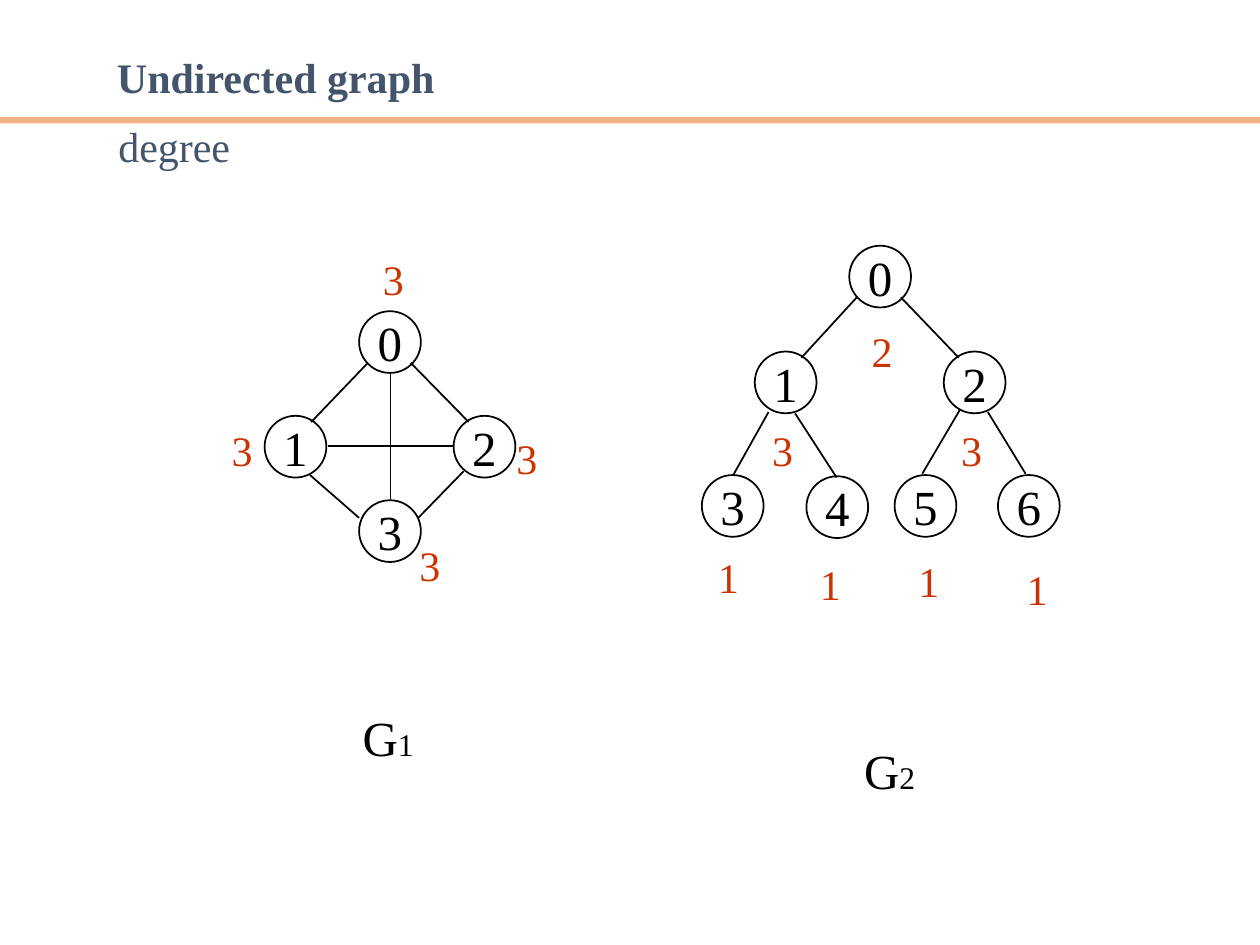
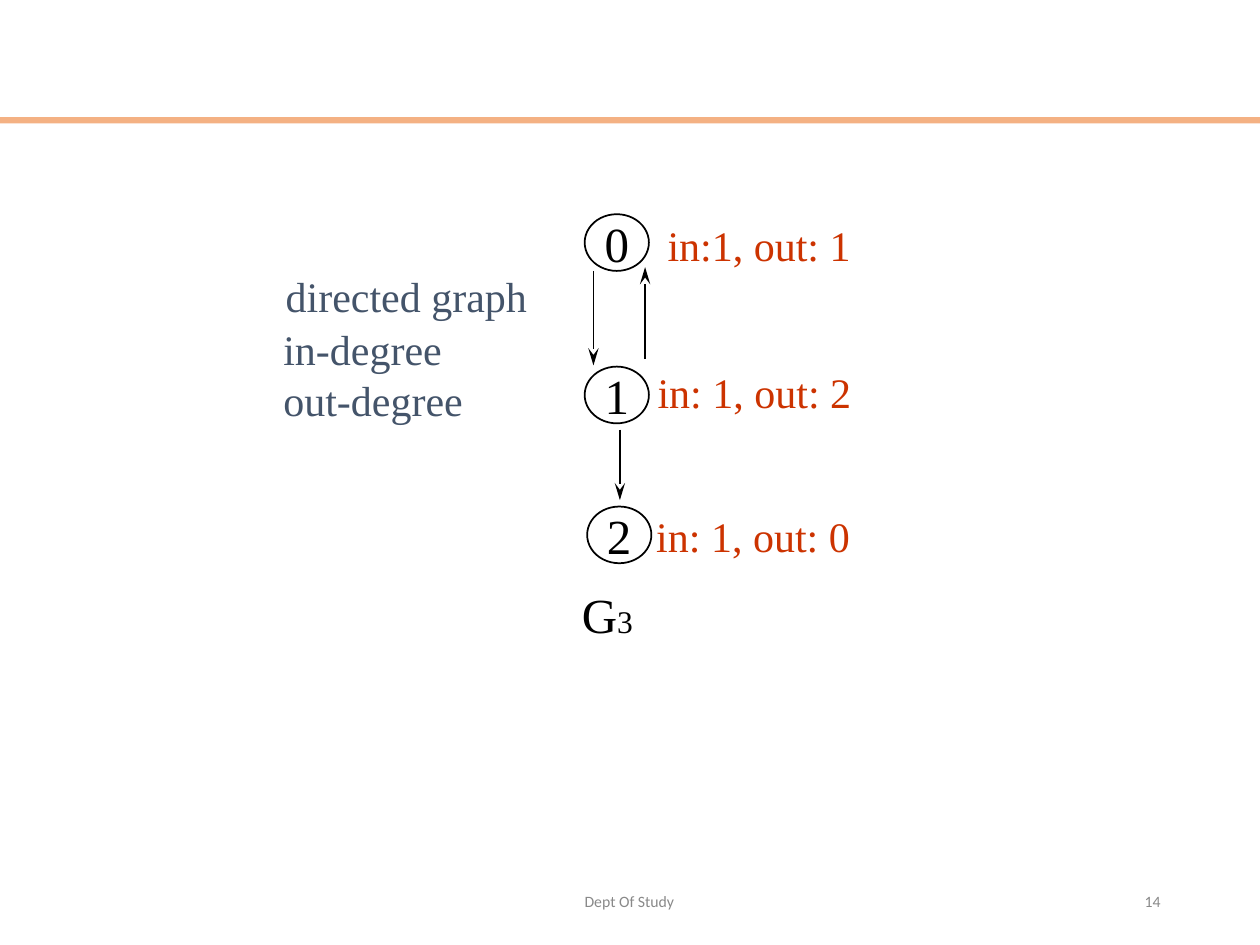
from collections import namedtuple

from lxml.etree import SubElement
from pptx import Presentation
from pptx.dml.color import RGBColor
from pptx.enum.shapes import MSO_CONNECTOR, MSO_SHAPE
from pptx.enum.text import MSO_ANCHOR as Anchor, MSO_AUTO_SIZE as AutoSize, PP_ALIGN as Align
from pptx.oxml.ns import qn
from pptx.util import Inches, Pt

COLORS = {
    "band": "F4B183",
    "heading": "44546A",
    "degree": "CC3300",
    "ink": "000000",
    "paper": "FFFFFF",
    "footer": "898989",
}
SERIF = "Times New Roman"
SANS = "Calibri"

Graph = namedtuple("Graph", "origin vertex_size vertices edges degrees name number name_at directed")

COMPLETE_GRAPH = Graph(
    origin=(1.7, 1.9),
    vertex_size=(0.49, 0.49),
    vertices=[(1.15, 0.57), (0.4, 1.4), (1.9, 1.4), (1.15, 2.07)],
    edges=[
        (1.4, 1.06, 1.4, 2.06),
        (0.9, 1.64, 1.9, 1.64),
        (1.22, 0.98, 0.77, 1.45),
        (1.56, 0.98, 2.02, 1.45),
        (0.76, 1.87, 1.15, 2.21),
        (1.98, 1.84, 1.62, 2.21),
    ],
    degrees=[
        ("3", 1.24, 0.06, 0.36),
        ("3", 0.04, 1.42, 0.36),
        ("3", 2.3, 1.48, 0.36),
        ("3", 1.53, 2.33, 0.36),
    ],
    name="G",
    number="1",
    name_at=(1.08, 3.67, 0.61),
    directed=False,
)

TREE_GRAPH = Graph(
    origin=(5.5, 1.9),
    vertex_size=(0.49, 0.49),
    vertices=[
        (1.24, 0.05), (0.49, 0.89), (1.99, 0.89),
        (0.07, 1.87), (0.9, 1.88), (1.6, 1.87), (2.42, 1.87),
    ],
    edges=[
        (1.3, 0.46, 0.86, 0.94),
        (1.65, 0.46, 2.11, 0.94),
        (0.6, 1.37, 0.32, 1.87),
        (0.81, 1.38, 1.14, 1.89),
        (2.12, 1.35, 1.82, 1.86),
        (2.34, 1.37, 2.64, 1.86),
    ],
    degrees=[
        ("2", 1.32, 0.63, 0.36),
        ("3", 0.53, 1.42, 0.36),
        ("3", 2.03, 1.42, 0.36),
        ("1", 0.1, 2.43, 0.36),
        ("1", 0.91, 2.48, 0.36),
        ("1", 1.69, 2.46, 0.36),
        ("1", 2.55, 2.52, 0.36),
    ],
    name="G",
    number="2",
    name_at=(1.26, 3.93, 0.61),
    directed=False,
)

DIRECTED_GRAPH = Graph(
    origin=(2.1, 1.6),
    vertex_size=(0.51, 0.45),
    vertices=[(2.54, 0.1), (2.54, 1.31), (2.56, 2.42)],
    edges=[
        (2.82, 1.81, 2.82, 2.37),
        (3.02, 1.25, 3.02, 0.52),
        (2.61, 0.55, 2.61, 1.3),
    ],
    degrees=[
        ("in:1, out: 1", 3.1, 0.09, 1.73),
        ("in: 1, out: 2", 3.02, 1.26, 1.81),
        ("in: 1, out: 0", 3.01, 2.4, 1.81),
    ],
    name="G",
    number="3",
    name_at=(2.42, 2.99, 0.63),
    directed=True,
)


def color(name):
    """Return the named colour."""
    return RGBColor.from_string(COLORS[name])


def set_values(target, values):
    """Set each attribute of the target from a dict."""
    for name, value in values.items():
        setattr(target, name, value)


def write_run(paragraph, text, size, ink, font=SERIF, bold=False):
    """Add one formatted run to a paragraph."""
    run = paragraph.add_run()
    run.text = text
    set_values(run.font, {"name": font, "size": Pt(size), "bold": bold})
    run.font.color.rgb = color(ink)


def add_text(shapes, box, lines, ink="heading", size=24, font=SERIF, bold=False,
             align=Align.LEFT, wrap=True, fit=AutoSize.SHAPE_TO_FIT_TEXT):
    """Add a text box with one paragraph per line."""
    frame = shapes.add_textbox(*map(Inches, box)).text_frame
    set_values(frame, {"word_wrap": wrap, "auto_size": fit, "vertical_anchor": Anchor.MIDDLE})
    for index, line in enumerate(lines):
        paragraph = frame.add_paragraph() if index else frame.paragraphs[0]
        paragraph.alignment = align
        write_run(paragraph, line, size, ink, font, bold)
    return frame


def add_plain_shape(shapes, kind, box, fill):
    """Add a filled preset shape without shadow."""
    shape = shapes.add_shape(kind, *map(Inches, box))
    shape.shadow.inherit = False
    shape.fill.solid()
    shape.fill.fore_color.rgb = color(fill)
    return shape


def add_vertex(shapes, box, label):
    """Add a numbered vertex."""
    vertex = add_plain_shape(shapes, MSO_SHAPE.OVAL, box, "paper")
    vertex.line.color.rgb = color("ink")
    vertex.line.width = Pt(1)
    frame = vertex.text_frame
    set_values(frame, {"word_wrap": False, "vertical_anchor": Anchor.MIDDLE})
    frame.paragraphs[0].alignment = Align.CENTER
    write_run(frame.paragraphs[0], label, 28, "ink")


def add_edge(shapes, ends, directed):
    """Add an edge, with an arrowhead when it is directed."""
    edge = shapes.add_connector(MSO_CONNECTOR.STRAIGHT, *map(Inches, ends))
    edge.line.color.rgb = color("ink")
    edge.line.width = Pt(1)
    properties = edge.line._get_or_add_ln()
    if directed:
        SubElement(properties, qn("a:tailEnd"), type="stealth", w="med", len="lg")
    SubElement(properties.getparent(), qn("a:effectLst"))


def draw_graph(shapes, graph):
    """Draw vertices, edges, degrees and name relative to the graph's origin."""
    left, top = graph.origin
    for index, (x, y) in enumerate(graph.vertices):
        add_vertex(shapes, (left + x, top + y, *graph.vertex_size), str(index))
    for x1, y1, x2, y2 in graph.edges:
        add_edge(shapes, (left + x1, top + y1, left + x2, top + y2), graph.directed)
    align = Align.LEFT if graph.directed else Align.CENTER
    for text, x, y, width in graph.degrees:
        add_text(shapes, (left + x, top + y, width, 0.5), [text], "degree",
                 align=align, wrap=graph.directed)
    x, y, width = graph.name_at
    frame = add_text(shapes, (left + x, top + y, width, 0.57), [graph.name], "ink", 28, wrap=False)
    frame.vertical_anchor = Anchor.TOP
    write_run(frame.paragraphs[0], graph.number, 18, "ink")


def add_banded_slide(presentation):
    """Add a blank slide with the shared band."""
    slide = presentation.slides.add_slide(presentation.slide_layouts[6])
    band = add_plain_shape(slide.shapes, MSO_SHAPE.RECTANGLE, (0, 0.93, 10, 0.05), "band")
    band.line.fill.background()
    return slide


def add_footer(slide, text, number):
    """Add the footer text and the slide number."""
    for box, content, align in (
        ((3.31, 6.95, 3.37, 0.4), text, Align.CENTER),
        ((7.06, 6.95, 2.25, 0.4), number, Align.RIGHT),
    ):
        add_text(slide.shapes, box, [content], "footer", 9, SANS, align=align, fit=AutoSize.NONE)


def build_undirected_slide(presentation):
    """Build the slide on degrees in undirected graphs."""
    shapes = add_banded_slide(presentation).shapes
    add_text(shapes, (0.83, 0.36, 2.73, 0.5), ["Undirected graph"], bold=True, wrap=False)
    add_text(shapes, (0.84, 0.91, 1.09, 0.5), ["degree"], wrap=False)
    for graph in (TREE_GRAPH, COMPLETE_GRAPH):
        draw_graph(shapes, graph)


def build_directed_slide(presentation):
    """Build the slide on in-degree and out-degree."""
    slide = add_banded_slide(presentation)
    shapes = slide.shapes.add_group_shape().shapes
    left, top = DIRECTED_GRAPH.origin
    add_text(shapes, (left + 0.02, top + 0.5, 2.21, 0.5), ["directed graph"], align=Align.CENTER)
    add_text(shapes, (left + 0.05, top + 0.92, 1.7, 0.9), ["in-degree", "out-degree"])
    draw_graph(shapes, DIRECTED_GRAPH)
    add_footer(slide, "Dept Of Study", "14")


def main():
    """Build and save the presentation."""
    presentation = Presentation()
    set_values(presentation, {"slide_width": Inches(10), "slide_height": Inches(7.5)})
    build_undirected_slide(presentation)
    build_directed_slide(presentation)
    presentation.save("out.pptx")


if __name__ == "__main__":
    main()
